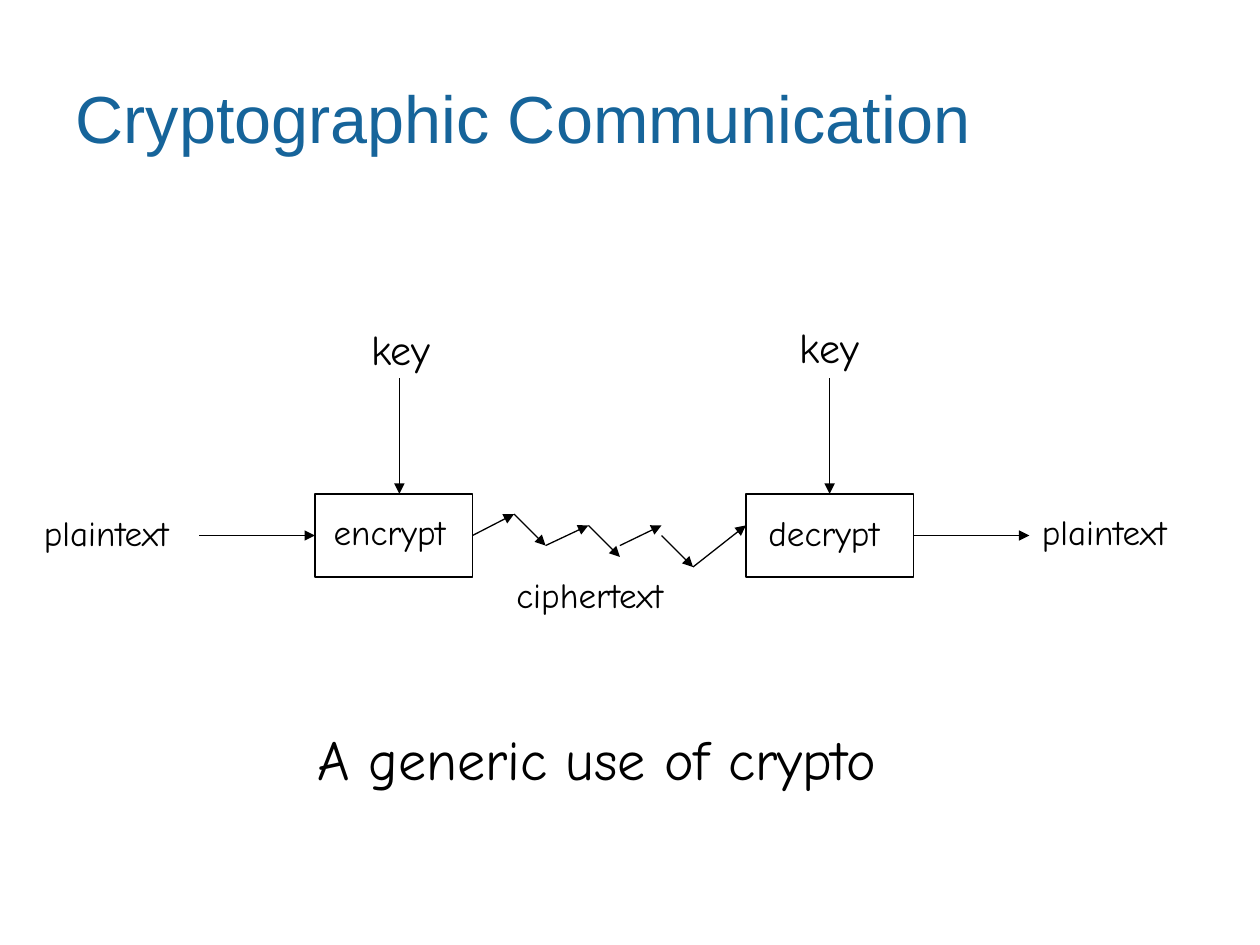
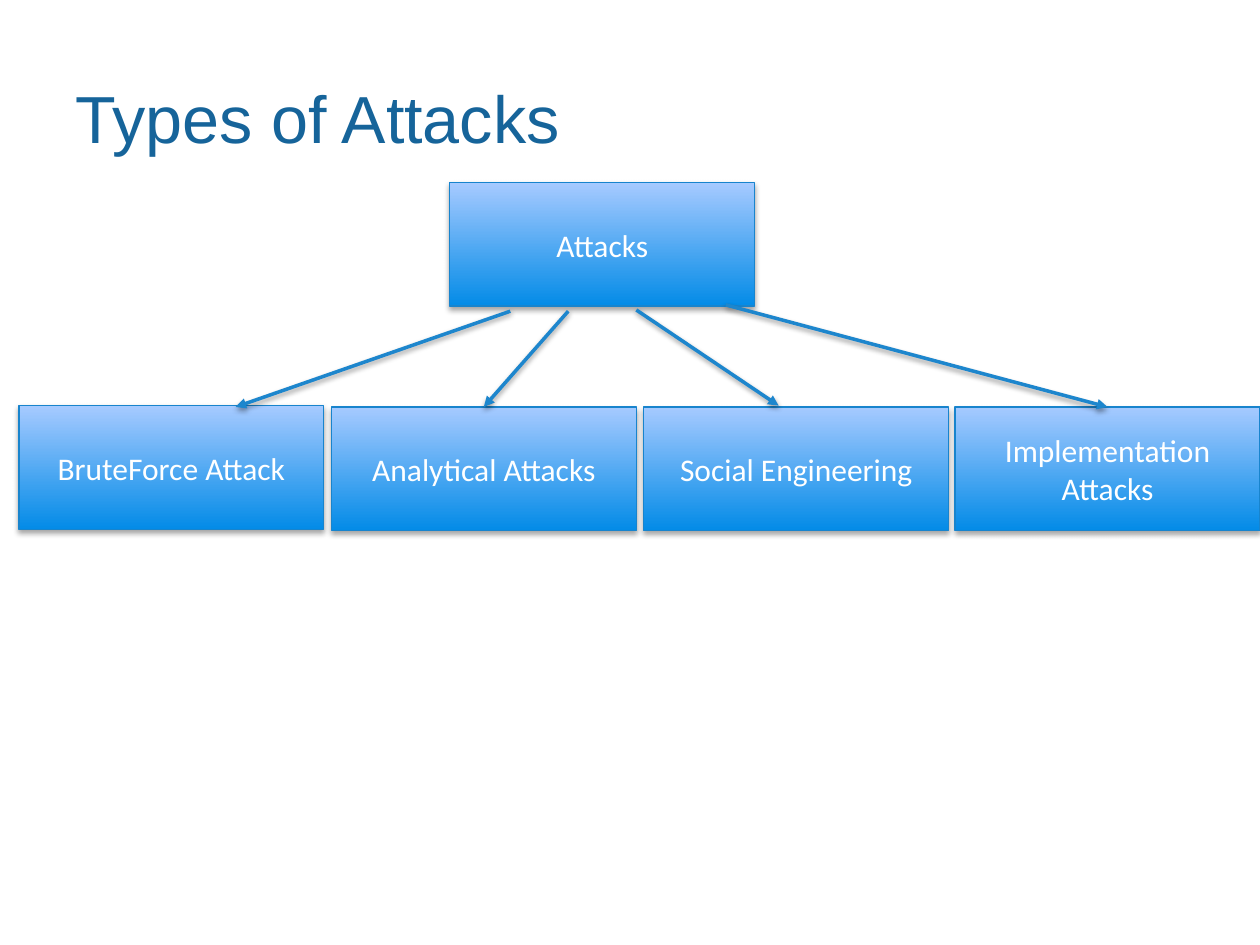
import pptx
import pptx.dml.color
import pptx.enum.shapes
import pptx.enum.text
import pptx.oxml
import pptx.oxml.ns
import pptx.util
from pptx.util import Inches

COLORS = {
    "title": "16649A", "ink": "000000", "node_text": "FFFFFF",
    "node_bottom": "038BE7", "node_top": "A6CAFF",
    "node_line": "1884CD", "arrow": "1D86CD",
}
rgb = {name: pptx.dml.color.RGBColor.from_string(value) for name, value in COLORS.items()}
RECTANGLE = pptx.enum.shapes.MSO_SHAPE.RECTANGLE
ALIGN = pptx.enum.text.PP_ALIGN
ANCHOR = pptx.enum.text.MSO_ANCHOR
qn = pptx.oxml.ns.qn


def write_text(frame, text, font, size, color, align, anchor):
    frame.vertical_anchor = anchor
    para = frame.paragraphs[0]
    para.alignment = align
    span = para.add_run()
    span.text = text
    for name, value in {"name": font, "size": pptx.util.Pt(size)}.items():
        setattr(span.font, name, value)
    span.font.color.rgb = rgb[color]


def add_arrow(slide, start, end, color, width):
    arrow = slide.shapes.add_connector(
        pptx.enum.shapes.MSO_CONNECTOR.STRAIGHT, *map(Inches, start + end))
    arrow.line.color.rgb = rgb[color]
    arrow.line.width = pptx.util.Pt(width)
    properties = arrow.element.spPr
    head = pptx.oxml.parse_xml(f'<a:tailEnd {pptx.oxml.ns.nsdecls("a")} type="triangle"/>')
    properties.find(qn("a:ln")).append(head)
    properties.append(pptx.oxml.parse_xml(f'<a:effectLst {pptx.oxml.ns.nsdecls("a")}/>'))
    return arrow


deck = pptx.Presentation()
deck.slide_width, deck.slide_height = Inches(10), Inches(7.5)

# Slides with their titles
slides = []
for heading in ("Cryptographic Communication", "Types of Attacks"):
    slide = deck.slides.add_slide(deck.slide_layouts[5])
    title = slide.shapes.title
    for name, value in {"left": 0.5, "top": 0.3, "width": 9, "height": 1.25}.items():
        setattr(title, name, Inches(value))
    write_text(title.text_frame, heading, "Arial", 38, "title", ALIGN.LEFT, ANCHOR.MIDDLE)
    slides.append(slide)
crypto, attacks = slides

# Encrypt and decrypt boxes
stages = []
for left, width in ((2.5, 1.25), (5.92, 1.33)):
    box = crypto.shapes.add_shape(
        RECTANGLE, Inches(left), Inches(3.92), Inches(width), Inches(0.66))
    box.shadow.inherit = False
    box.fill.background()
    box.line.color.rgb = rgb["ink"]
    box.line.width = pptx.util.Pt(0.75)
    stages.append(box)
encrypt, decrypt = stages

# Labels: text, left, top, width, height, size, wrap
labels = [
    ("plaintext", 0.25, 4.01, 1.42, 0.49, 20, True),
    ("key", 6.25, 2.5, 0.92, 0.57, 24, True),
    ("key", 2.85, 2.52, 0.9, 0.57, 24, True),
    ("plaintext", 8.17, 4, 1.42, 0.49, 20, True),
    ("ciphertext", 4, 4.5, 1.67, 0.49, 20, True),
    ("A generic use of crypto", 2.42, 5.7, 5.09, 0.72, 32, False),
    ("encrypt", 2.55, 4, 1.2, 0.49, 20, False),
    ("decrypt", 6, 4.01, 1.22, 0.49, 20, False),
]
for text, left, top, width, height, size, wrap in labels:
    label = crypto.shapes.add_textbox(*map(Inches, (left, top, width, height)))
    label.text_frame.word_wrap = wrap
    label.text_frame.auto_size = pptx.enum.text.MSO_AUTO_SIZE.SHAPE_TO_FIT_TEXT
    write_text(label.text_frame, text, "Comic Neue", size, "ink", ALIGN.LEFT, ANCHOR.TOP)

# Flow through the boxes, with the zigzag for the open channel
flow = [
    ((1.58, 4.25), (2.5, 4.25), None, (encrypt, 1)),
    ((3.75, 4.25), (4.08, 4.08), (encrypt, 3), None),
    ((4.08, 4.08), (4.33, 4.33), None, None),
    ((4.33, 4.33), (4.67, 4.17), None, None),
    ((4.67, 4.17), (4.92, 4.42), None, None),
    ((4.92, 4.33), (5.25, 4.17), None, None),
    ((5.25, 4.25), (5.5, 4.5), None, None),
    ((5.5, 4.5), (5.92, 4.17), None, None),
    ((7.25, 4.25), (8.17, 4.25), (decrypt, 3), None),
    ((3.17, 3), (3.17, 3.92), None, None),
    ((5.92 + 1.33 / 2, 3), (5.92 + 1.33 / 2, 3.92), None, (decrypt, 0)),
]
for start, end, source, target in flow:
    arrow = add_arrow(crypto, start, end, "ink", 0.75)
    if source:
        arrow.begin_connect(*source)
    if target:
        arrow.end_connect(*target)

# Attack tree: root and four kinds
nodes = {}
for text, left, top in (
    ("Attacks", 3.57, 1.45),
    ("BruteForce Attack", 0.15, 3.22),
    ("Analytical Attacks", 2.63, 3.23),
    ("Social Engineering", 5.11, 3.23),
    ("Implementation Attacks", 7.58, 3.23),
):
    node = attacks.shapes.add_shape(
        RECTANGLE, Inches(left), Inches(top), Inches(2.42), Inches(0.98))
    node.shadow.inherit = False
    node.fill.gradient()
    node.fill.gradient_angle = 90
    for stop, color in zip(node.fill.gradient_stops, ("node_bottom", "node_top")):
        stop.color.rgb = rgb[color]
    node.line.color.rgb = rgb["node_line"]
    node.line.width = pptx.util.Pt(0.75)
    write_text(node.text_frame, text, "Calibri", 18, "node_text", ALIGN.CENTER, ANCHOR.MIDDLE)
    nodes[text] = node

# Branches
branches = []
for start, end, target in (
    ((4.05, 2.47), (1.87, 3.23), None),
    ((4.51, 2.47), (3.84, 3.23), "Analytical Attacks"),
    ((5.05, 2.46), (6.18, 3.22), None),
    ((5.76, 2.42), (8.79, 3.23), "Implementation Attacks"),
):
    branch = add_arrow(attacks, start, end, "arrow", 2)
    if target:
        branch.end_connect(nodes[target], 0)
    branches.append(branch)

# Soft shadows below the nodes and branches
for shapes, distance, opacity in ((nodes.values(), 1.8, 35), (branches, 1.6, 38)):
    for shape in shapes:
        shape.element.spPr.find(qn("a:effectLst")).append(pptx.oxml.parse_xml(
            f'<a:outerShdw {pptx.oxml.ns.nsdecls("a")} blurRad="{pptx.util.Pt(3.1)}" '
            f'dist="{pptx.util.Pt(distance)}" dir="5400000" rotWithShape="0">'
            f'<a:srgbClr val="{COLORS["ink"]}"><a:alpha val="{opacity * 1000}"/></a:srgbClr>'
            '</a:outerShdw>'))

deck.save("out.pptx")
